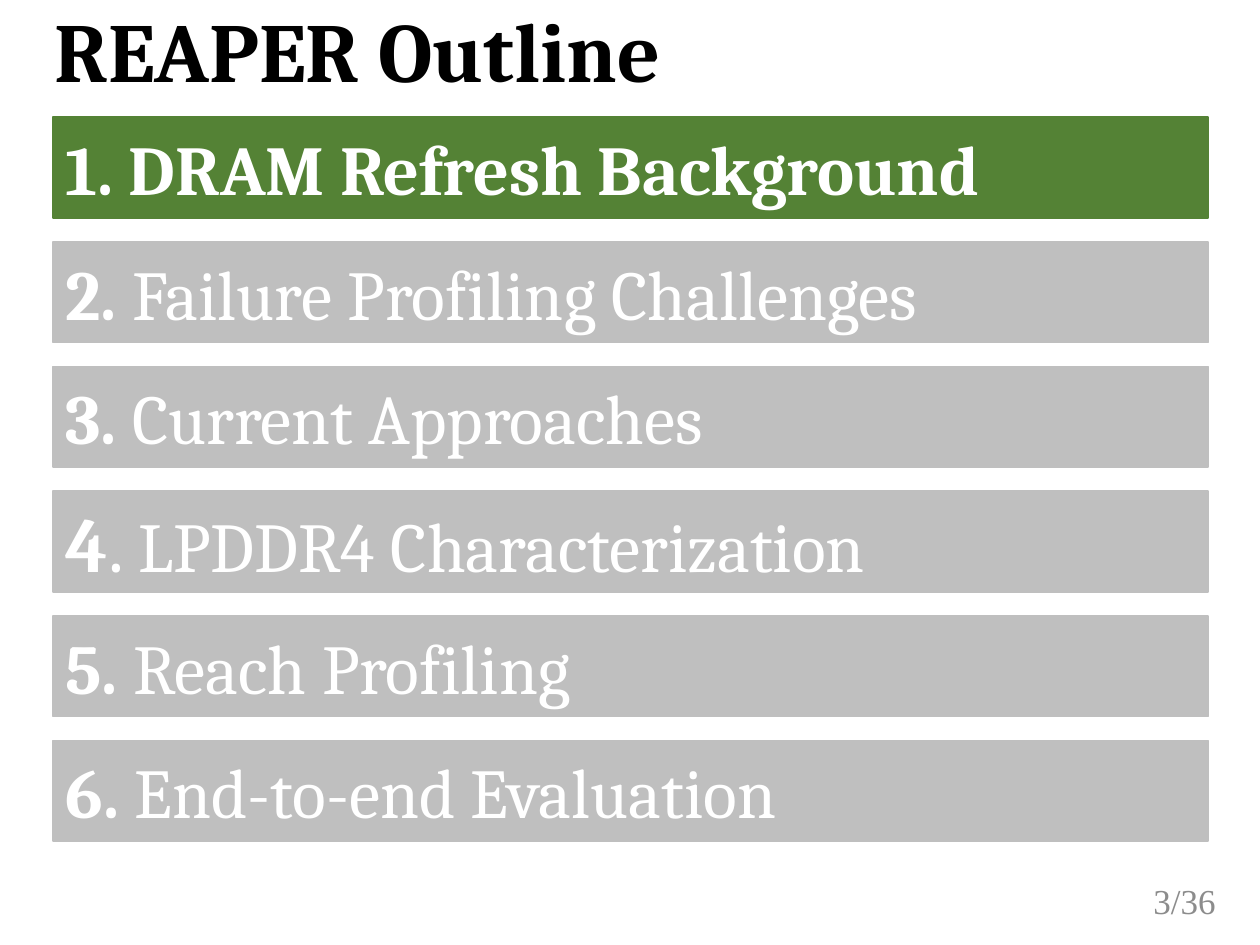
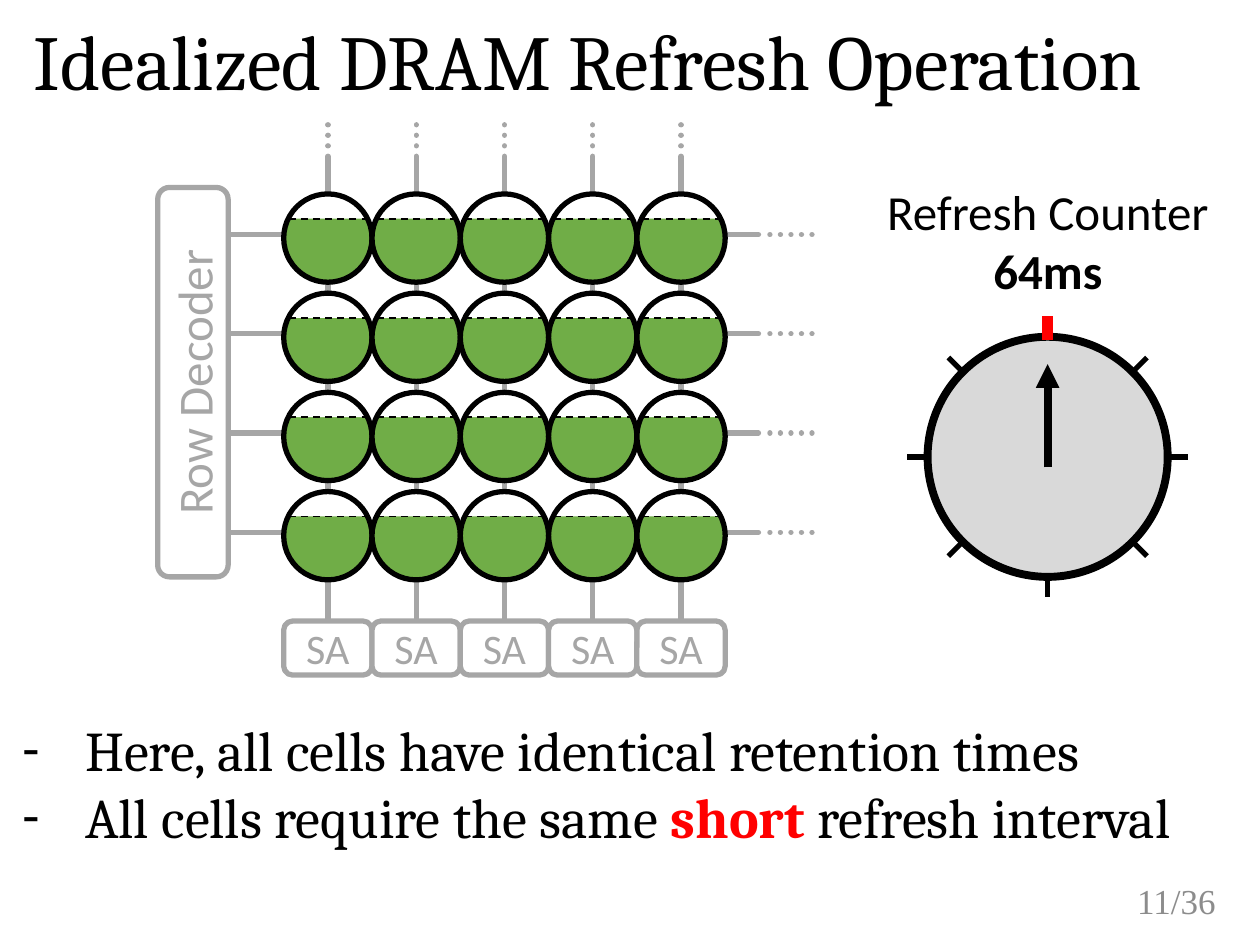
"""Build the outline and refresh-operation slides of a DRAM talk."""
from dataclasses import dataclass
from math import cos, radians, sin

from lxml import etree
from pptx import Presentation
from pptx.dml.color import RGBColor
from pptx.enum.dml import MSO_LINE
from pptx.enum.shapes import MSO_CONNECTOR, MSO_SHAPE
from pptx.enum.text import MSO_ANCHOR, MSO_AUTO_SIZE, PP_ALIGN
from pptx.oxml.ns import qn
from pptx.util import Cm, Pt

STRAIGHT = MSO_CONNECTOR.STRAIGHT
RECT, ROUNDED = MSO_SHAPE.RECTANGLE, MSO_SHAPE.ROUNDED_RECTANGLE
OVAL, CHORD = MSO_SHAPE.OVAL, MSO_SHAPE.CHORD
DOTTED, DASHED = MSO_LINE.ROUND_DOT, MSO_LINE.DASH
TOP, MIDDLE, BOTTOM = MSO_ANCHOR.TOP, MSO_ANCHOR.MIDDLE, MSO_ANCHOR.BOTTOM
LEFT, CENTER, RIGHT = PP_ALIGN.LEFT, PP_ALIGN.CENTER, PP_ALIGN.RIGHT
NO_FIT = MSO_AUTO_SIZE.NONE
TITLE_ONLY = 5
TOTAL_PAGES = 36


@dataclass(frozen=True)
class Theme:
    """Colours, fonts and type sizes shared by the slides."""

    black: str = "000000"
    white: str = "FFFFFF"
    active: str = "548235"
    inactive: str = "BFBFBF"
    wire: str = "A6A6A6"
    charge: str = "70AD47"
    dial: str = "D9D9D9"
    alert: str = "FF0000"
    page: str = "8C8C8C"
    serif: str = "Cambria"
    sans: str = "Calibri"
    page_font: str = "Times New Roman"
    outline_title: float = 48
    title: float = 44.4
    big_number: float = 44
    section: float = 40
    body: float = 32
    label: float = 28
    amplifier: float = 24
    page_number: float = 20


THEME = Theme()


@dataclass(frozen=True)
class Box:
    """A rectangle in centimetres."""

    left: float
    top: float
    width: float
    height: float

    def inside(self, left, top, width, height):
        """Return a box placed relative to this one."""
        return Box(self.left + left, self.top + top, width, height)

    def lengths(self):
        """Return the four lengths of the box."""
        return [Cm(n) for n in (self.left, self.top, self.width, self.height)]


def add_span(para, text, size, font, color, bold=False):
    """Append one formatted run."""
    span = para.add_run()
    span.text = text
    span.font.size = Pt(size)
    span.font.name = font
    span.font.bold = bold
    span.font.color.rgb = RGBColor.from_string(color)


def set_frame(frame, anchor, wrap=True):
    """Set how text sits in a frame."""
    frame.word_wrap = wrap
    frame.auto_size = NO_FIT
    frame.vertical_anchor = anchor


def add_text(page, box, anchor=TOP):
    """Add a wrapping text box and return its frame."""
    frame = page.shapes.add_textbox(*box.lengths()).text_frame
    set_frame(frame, anchor)
    return frame


def add_block(page, kind, box, fill=None, line=None, width=3):
    """Add a preset shape with plain fill and outline."""
    shape = page.shapes.add_shape(kind, *box.lengths())
    shape.shadow.inherit = False
    if fill:
        shape.fill.solid()
        shape.fill.fore_color.rgb = RGBColor.from_string(fill)
    else:
        shape.fill.background()
    if line:
        shape.line.color.rgb = RGBColor.from_string(line)
        shape.line.width = Pt(width)
    else:
        shape.line.fill.background()
    return shape


def add_line(page, box, start, end, color, width=3, dash=None, cap="flat", arrow=False):
    """Draw a straight line between two points of a box."""
    ends = [Cm(n) for x, y in (start, end) for n in (box.left + x, box.top + y)]
    line = page.shapes.add_connector(STRAIGHT, *ends)
    line.line.color.rgb = RGBColor.from_string(color)
    line.line.width = Pt(width)
    if dash:
        line.line.dash_style = dash
    properties = line.element.spPr
    outline = properties.find(qn("a:ln"))
    outline.set("cap", cap)
    if arrow:
        etree.SubElement(outline, qn("a:tailEnd"), type="triangle")
    etree.SubElement(properties, qn("a:effectLst"))


def add_wire(page, box, start, end, dash=None):
    """Draw a grey wire with round ends."""
    add_line(page, box, start, end, THEME.wire, dash=dash, cap="rnd")


def add_wire_label(page, box, text, size, vertical=False):
    """Add a grey rounded block with a centred label."""
    frame = add_block(page, ROUNDED, box, THEME.white, THEME.wire).text_frame
    set_frame(frame, MIDDLE, wrap=False)
    frame.margin_left = frame.margin_right = frame.margin_top = frame.margin_bottom = 0
    if vertical:
        frame._txBody.bodyPr.set("vert", "vert270")
    para = frame.paragraphs[0]
    para.alignment = CENTER
    add_span(para, text, size, THEME.sans, THEME.wire)


def start_page(deck, title, box, size, anchor, number, bold=False):
    """Add a slide with its title and page number."""
    page = deck.slides.add_slide(deck.slide_layouts[TITLE_ONLY])
    holder = page.shapes.title
    holder.left, holder.top, holder.width, holder.height = box.lengths()
    set_frame(holder.text_frame, anchor)
    para = holder.text_frame.paragraphs[0]
    para.alignment = LEFT
    para.line_spacing = 0.9
    add_span(para, title, size, THEME.serif, THEME.black, bold)

    para = add_text(page, Box(22.02, 17.65, 2.74, 1.02), MIDDLE).paragraphs[0]
    para.alignment = RIGHT
    add_span(para, f"{number}/{TOTAL_PAGES}", THEME.page_number, THEME.page_font, THEME.page)
    return page


def add_sections(page, box, sections, current):
    """Stack the section bars and highlight the current one."""
    height = 2.03
    pitch = (box.height - height) / (len(sections) - 1)
    for index, spans in enumerate(sections):
        color = THEME.active if index == current else THEME.inactive
        place = box.inside(0, index * pitch, box.width, height)
        frame = add_block(page, RECT, place, color, color, 1).text_frame
        set_frame(frame, MIDDLE)
        para = frame.paragraphs[0]
        para.alignment = LEFT
        for text, size, bold in spans:
            add_span(para, text, size, THEME.serif, THEME.white, bold)


def add_cell(page, box):
    """Draw one round cell filled with charge up to a dashed level."""
    level = 0.5
    add_block(page, OVAL, box, THEME.charge)
    gap = add_block(page, CHORD, box, THEME.white)
    for index, angle in enumerate((206, 334)):
        gap.adjustments[index] = angle * 0.6
    add_block(page, OVAL, box, line=THEME.black)
    add_line(page, box, (0.1, level), (box.width - 0.1, level), THEME.black, 1, DASHED)


def add_cell_array(page, box):
    """Draw the row decoder, wires, cells and sense amplifiers."""
    size = 1.78
    columns = [2.54 + size * index for index in range(5)]
    rows = [1.45 + 2 * index for index in range(4)]
    amplifier_top = 10.06
    for top in rows:
        y = top + 0.82
        add_wire(page, box, (1.12, y), (12.11, y))
        add_wire(page, box, (12.34, y), (box.width, y), DOTTED)
    for left in columns:
        x = left + size / 2
        add_wire(page, box, (x, amplifier_top), (x, 0.69))
        add_wire(page, box, (x, 0.48), (x, 0), DOTTED)
        place = box.inside(left, amplifier_top, size, box.height - amplifier_top)
        add_wire_label(page, place, "SA", THEME.amplifier)
    add_wire_label(page, box.inside(0, 1.32, 1.42, 7.85), "Row Decoder", THEME.label, True)
    for top in rows:
        for left in columns:
            add_cell(page, box.inside(left, top, size, size))


def add_counter(page, box):
    """Draw the refresh dial with its ticks and pointer."""
    radius = box.width / 2
    inset = 0.41
    for angle in range(0, 180, 45):
        x, y = radius * cos(radians(angle)), radius * sin(radians(angle))
        add_line(page, box, (radius - x, radius - y), (radius + x, radius + y), THEME.black)
    side = box.width - 2 * inset
    add_block(page, OVAL, box.inside(inset, inset, side, side), THEME.dial, THEME.black, 4.5)
    add_line(page, box, (radius, radius + 0.21), (radius, 0.96), THEME.black, 4.5, arrow=True)
    add_line(page, box, (radius, 0), (radius, 0.48), THEME.alert, 6)


def add_counter_label(page, box):
    """Write the counter name and its interval."""
    frame = add_text(page, box)
    for index, text in enumerate(("Refresh Counter", "64ms")):
        para = frame.add_paragraph() if index else frame.paragraphs[0]
        para.alignment = CENTER
        add_span(para, text, THEME.label, THEME.sans, THEME.black, index == 1)


def add_points(page, box, points):
    """Write dashed points with a hanging indent."""
    frame = add_text(page, box)
    indent = Cm(1.27)
    for index, spans in enumerate(points):
        para = frame.add_paragraph() if index else frame.paragraphs[0]
        properties = para._p.get_or_add_pPr()
        properties.set("marL", str(indent))
        properties.set("indent", str(-indent))
        etree.SubElement(properties, qn("a:buFont"), typeface=THEME.sans)
        etree.SubElement(properties, qn("a:buChar"), char="-")
        for text, strong in spans:
            color = THEME.alert if strong else THEME.black
            add_span(para, text, THEME.body, THEME.serif, color, strong)


def build_outline(deck):
    """Build the outline slide."""
    page = start_page(deck, "REAPER Outline", Box(0.84, 0.08, 22.86, 2.46),
                      THEME.outline_title, TOP, 3, bold=True)
    size, big = THEME.section, THEME.big_number
    sections = [
        [("1. DRAM Refresh Background", size, True)],
        [("2. ", size, True), ("Failure Profiling Challenges", size, False)],
        [("3. ", size, True), ("Current Approaches", size, False)],
        [("4", big, True), (". ", big, False), ("LPDDR4 Characterization", size, False)],
        [("5. ", size, True), ("Reach Profiling", size, False)],
        [("6. ", size, True), ("End-to-end Evaluation", size, False)],
    ]
    add_sections(page, Box(1.07, 2.36, 23.29, 14.6), sections, current=0)


def build_refresh(deck):
    """Build the refresh operation slide."""
    page = start_page(deck, "Idealized DRAM Refresh Operation",
                      Box(0.43, 0.18, 24.56, 2.11), THEME.title, BOTTOM, 11)
    add_cell_array(page, Box(3.18, 2.46, 13.3, 11.15))
    add_counter_label(page, Box(17.58, 3.53, 7.09, 2.64))
    add_counter(page, Box(18.29, 6.38, 5.66, 5.66))
    add_points(page, Box(0.2, 14.3, 24.77, 3), [
        [("Here, all cells have identical retention times", False)],
        [("All cells require the same ", False), ("short", True), (" refresh interval", False)],
    ])


def main():
    """Build and save the deck."""
    deck = Presentation()
    deck.slide_width, deck.slide_height = Cm(25.4), Cm(19.05)
    build_outline(deck)
    build_refresh(deck)
    deck.save("out.pptx")


if __name__ == "__main__":
    main()
